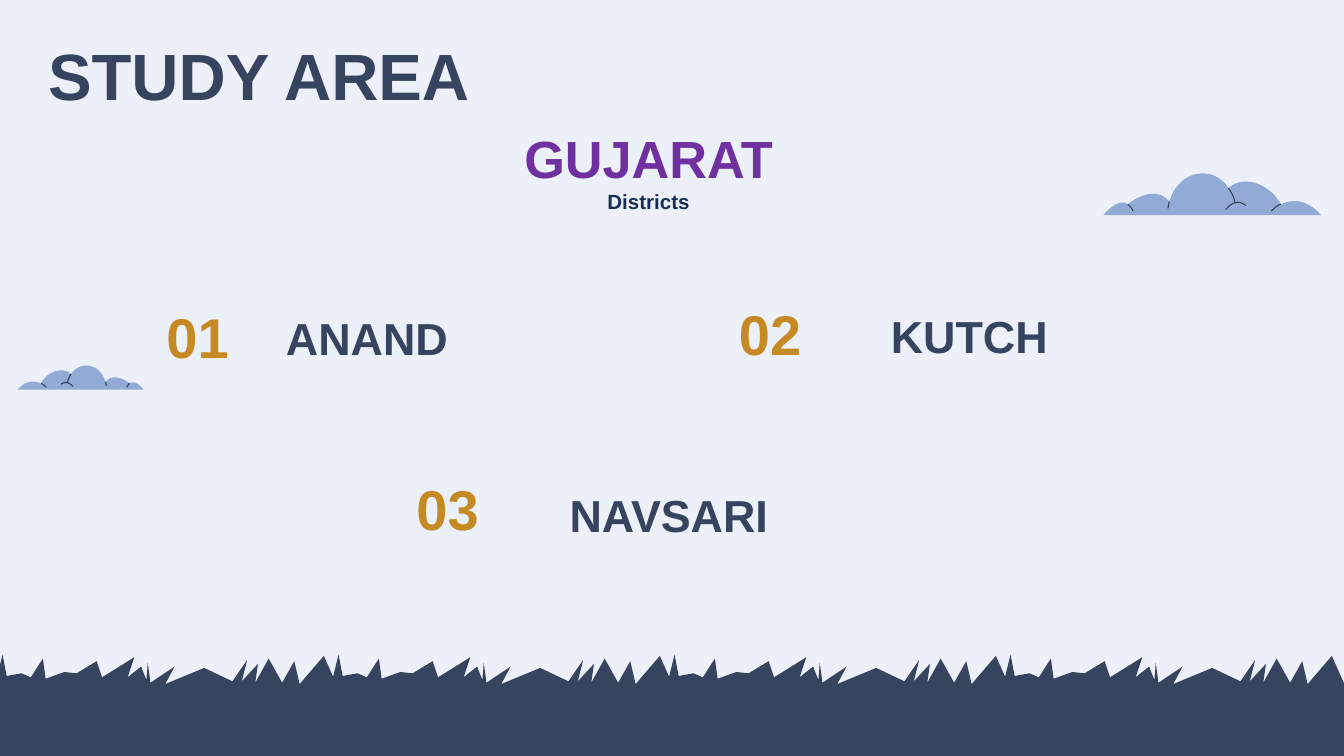
from pptx import Presentation
from pptx.dml.color import RGBColor
from pptx.enum.shapes import MSO_SHAPE as Shape
from pptx.enum.text import MSO_ANCHOR as Anchor, PP_ALIGN as Align
from pptx.util import Inches, Pt

# A 16:9 slide
SLIDE_WIDTH = 10
SLIDE_HEIGHT = SLIDE_WIDTH * 9 / 16
GROUND_TOP = 5.12

FONT = "Arial"
COLORS = {
    "sky": "ECF0F8",
    "navy": "36445F",
    "cloud": "92AAD6",
    "gold": "C58A23",
    "purple": "7030A0",
    "caption": "182D56",
}

# One tuft of grass, repeated along the ground
TUFT_STEP = 2.5
TUFT = [
    (-0.03, 5.07), (0.02, 4.87), (0.05, 5.03), (0.16, 5.01), (0.23, 5.04),
    (0.32, 4.9), (0.34, 5.05), (0.48, 5), (0.57, 5.01), (0.72, 4.92),
    (0.76, 5.04), (1, 4.89), (0.95, 5.04), (1.05, 4.96), (1.09, 5.06),
    (1.1, 4.93), (1.12, 5.08), (1.3, 4.96), (1.23, 5.09), (1.52, 4.97),
    (1.73, 5.07), (1.84, 4.91), (1.8, 5.07), (1.92, 4.94), (1.9, 5.08),
    (2, 4.9), (2.1, 5.08), (2.19, 4.92), (2.23, 5.09), (2.41, 4.88),
    (2.53, 5.15), (-0.03, 5.15),
]

# Cloud measured from its bottom-left corner; each curve: two controls, end
CLOUD_BODY = [
    [(0.08, -0.09), (0.14, -0.11), (0.18, -0.08)],
    [(0.31, -0.18), (0.43, -0.18), (0.49, -0.1)],
    [(0.57, -0.36), (0.84, -0.36), (0.93, -0.2)],
    [(1.05, -0.31), (1.25, -0.22), (1.32, -0.08)],
    [(1.41, -0.12), (1.51, -0.12), (1.62, 0)],
]
CLOUD_CREASES = [
    [(1.25, -0.03), (1.28, -0.06), (1.31, -0.08), (1.32, -0.08)],
    [(0.93, -0.2), (0.93, -0.2), (0.97, -0.15), (0.98, -0.09)],
    [(0.49, -0.1), (0.49, -0.1), (0.48, -0.05), (0.48, -0.05)],
    [(0.91, -0.04), (0.96, -0.1), (1.01, -0.11), (1.06, -0.07)],
    [(0.18, -0.08), (0.18, -0.08), (0.21, -0.06), (0.22, -0.03)],
]


def color(name):
    return RGBColor.from_string(COLORS[name])


def paint(shape, name):
    shape.shadow.inherit = False
    shape.fill.solid()
    shape.fill.fore_color.rgb = color(name)
    shape.line.fill.background()


def add_path(slide, points, close=True):
    points = [(Inches(x), Inches(y)) for x, y in points]
    builder = slide.shapes.build_freeform(*points[0])
    builder.add_line_segments(points[1:], close=close)
    return builder.convert_to_shape()


def curve_points(start, first, second, end, steps=16):
    """Points along a cubic curve, without its start."""
    points = []
    for step in range(1, steps + 1):
        t = step / steps
        weights = ((1 - t) ** 3, 3 * t * (1 - t) ** 2, 3 * t * t * (1 - t), t ** 3)
        points.append(tuple(
            sum(weight * value for weight, value in zip(weights, axis))
            for axis in zip(start, first, second, end)
        ))
    return points


def add_cloud(slide, left, bottom, scale_x, scale_y):
    """Add a cloud; a negative scale_x mirrors it."""
    def place(points):
        return [(left + x * scale_x, bottom + y * scale_y) for x, y in points]

    outline = [(0, 0)]
    for curve in CLOUD_BODY:
        outline += curve_points(outline[-1], *curve)
    paint(add_path(slide, place(outline)), "cloud")

    for crease in CLOUD_CREASES:
        points = [crease[0]] + curve_points(*crease)
        shape = add_path(slide, place(points), close=False)
        shape.shadow.inherit = False
        shape.fill.background()
        shape.line.color.rgb = color("navy")
        shape.line.width = Pt(0.6)


def add_ground(slide):
    soil = slide.shapes.add_shape(
        Shape.RECTANGLE, Inches(0), Inches(GROUND_TOP),
        Inches(SLIDE_WIDTH), Inches(SLIDE_HEIGHT - GROUND_TOP))
    paint(soil, "navy")
    for index in range(4):
        tuft = [(x + index * TUFT_STEP, y) for x, y in TUFT]
        paint(add_path(slide, tuft), "navy")


def add_text(slide, box, lines, anchor=Anchor.TOP, align=Align.LEFT,
             spacing=1.0, inset=0.1):
    """Add bold lines, each given as (text, size, color name)."""
    frame = slide.shapes.add_textbox(*map(Inches, box)).text_frame
    frame.word_wrap = True
    frame.vertical_anchor = anchor
    frame.margin_left = frame.margin_right = Inches(0.1)
    frame.margin_top = frame.margin_bottom = Inches(inset)
    for index, (text, size, name) in enumerate(lines):
        paragraph = frame.add_paragraph() if index else frame.paragraphs[0]
        paragraph.alignment = align
        paragraph.line_spacing = spacing
        run = paragraph.add_run()
        run.text = text
        run.font.name = FONT
        run.font.size = Pt(size)
        run.font.bold = True
        run.font.color.rgb = color(name)


def add_district(slide, number, number_at, name, name_at):
    add_text(slide, (*number_at, 0.8, 0.6), [(number, 30, "gold")], Anchor.BOTTOM)
    add_text(slide, (*name_at, 3.3, 0.6), [(name, 24, "navy")], Anchor.BOTTOM,
             spacing=1.15)


def main():
    presentation = Presentation()
    presentation.slide_width = Inches(SLIDE_WIDTH)
    presentation.slide_height = Inches(SLIDE_HEIGHT)
    slide = presentation.slides.add_slide(presentation.slide_layouts[6])
    slide.background.fill.solid()
    slide.background.fill.fore_color.rgb = color("sky")

    # Scenery
    add_ground(slide)
    add_cloud(slide, 8.21, 1.6, 1, 1)
    add_cloud(slide, 1.07, 2.9, -0.58, 0.58)

    # Headings
    add_text(slide, (0.26, 0.16, 8.43, 0.7), [("STUDY AREA", 35, "navy")])
    add_text(slide, (2.42, 0.89, 4.81, 0.76),
             [("GUJARAT", 28, "purple"), ("Districts", 11, "caption")],
             align=Align.CENTER, inset=0.05)

    # Districts
    add_district(slide, "01", (1.14, 2.25), "ANAND", (2.03, 2.21))
    add_district(slide, "02", (5.4, 2.23), "KUTCH", (6.53, 2.2))
    add_district(slide, "03", (3, 3.53), "NAVSARI", (4.14, 3.53))

    presentation.save("out.pptx")


if __name__ == "__main__":
    main()
